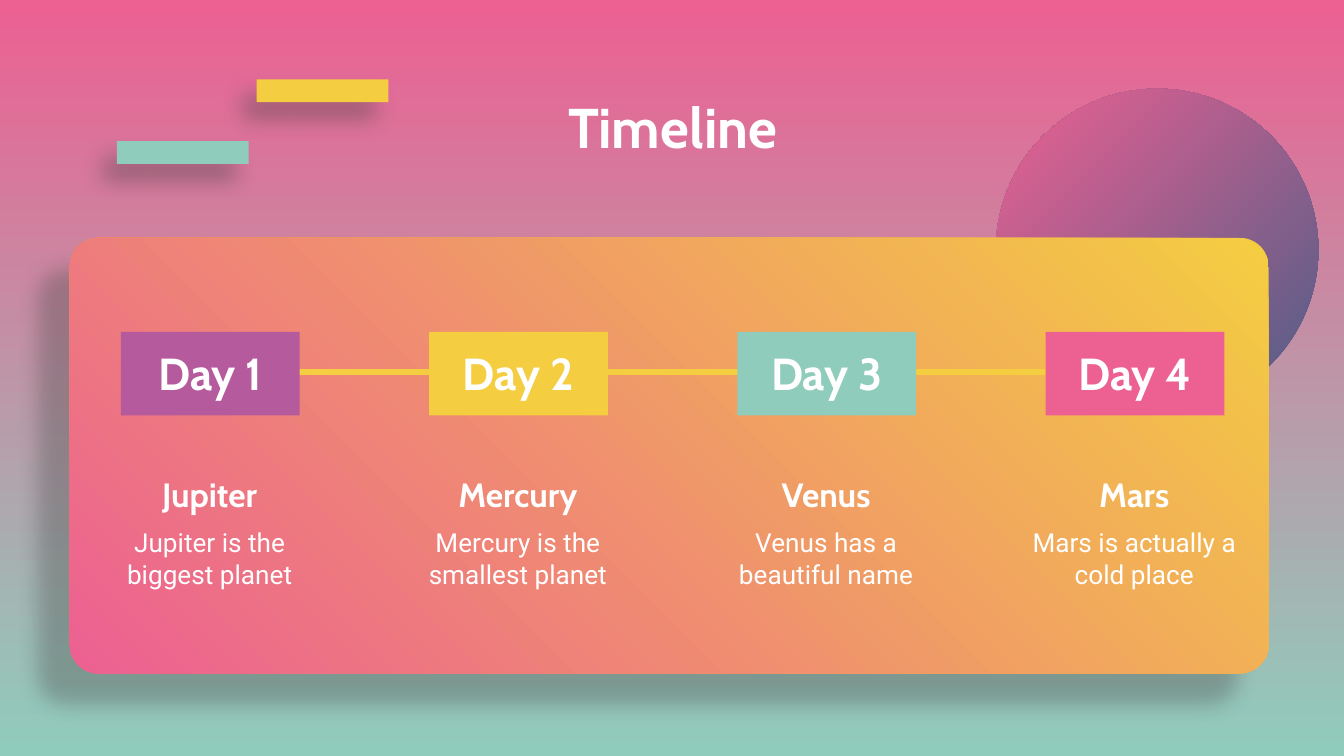
import dataclasses

import pptx
import pptx.dml.color
import pptx.enum.shapes
import pptx.enum.text
import pptx.oxml
import pptx.oxml.ns
import pptx.util

Inches = pptx.util.Inches
SHAPE = pptx.enum.shapes.MSO_SHAPE
ANCHOR = pptx.enum.text.MSO_ANCHOR
WIDE = 10
HIGH = WIDE * 9 / 16


@dataclasses.dataclass(frozen=True)
class Theme:
    """Colours, fonts and type sizes."""
    pink: str = "EC6092"
    mint: str = "8FCCBC"
    gold: str = "F4CD41"
    plum: str = "B65A9E"
    navy: str = "4D5E87"
    shade: str = "434343"
    white: str = "FFFFFF"
    head: str = "Cabin"
    body: str = "Roboto"
    title: int = 30
    day: int = 24
    name: int = 18
    note: int = 14


T = Theme()
DAYS = [
    ("Day 1", "Jupiter", "Jupiter is the biggest planet", T.plum),
    ("Day 2", "Mercury", "Mercury is the smallest planet", T.gold),
    ("Day 3", "Venus", "Venus has a beautiful name", T.mint),
    ("Day 4", "Mars", "Mars is actually a cold place", T.pink),
]


def rgb(code):
    """Turn a hex code into a colour."""
    return pptx.dml.color.RGBColor.from_string(code)


def blend(fill, start, end, angle):
    """Fill with a two-colour gradient at a counter-clockwise angle."""
    fill.gradient()
    fill.gradient_angle = angle
    for stop, code in zip(fill.gradient_stops, (start, end)):
        stop.color.rgb = rgb(code)


def block(slide, kind, box, color=None):
    """Add a borderless shape without shadow."""
    shape = slide.shapes.add_shape(kind, *map(Inches, box))
    shape.shadow.inherit = False
    shape.line.fill.background()
    if color:
        shape.fill.solid()
        shape.fill.fore_color.rgb = rgb(color)
    return shape


def shadow(shape, alpha, blur, dist, angle):
    """Cast a soft outer shadow."""
    effects = shape._element.spPr.find(pptx.oxml.ns.qn("a:effectLst"))
    effects.append(pptx.oxml.parse_xml(
        f'<a:outerShdw {pptx.oxml.ns.nsdecls("a")} blurRad="{pptx.util.Pt(blur)}" '
        f'dist="{pptx.util.Pt(dist)}" dir="{angle * 60000}" algn="bl" rotWithShape="0">'
        f'<a:srgbClr val="{T.shade}"><a:alpha val="{alpha * 1000}"/></a:srgbClr>'
        '</a:outerShdw>'))


def write(slide, text, box, size, font=T.head, bold=True, anchor=ANCHOR.TOP):
    """Add a centred white text box."""
    frame = slide.shapes.add_textbox(*map(Inches, box)).text_frame
    frame.word_wrap = True
    frame.vertical_anchor = anchor
    frame.margin_left = frame.margin_right = Inches(0.1)
    frame.margin_top = frame.margin_bottom = Inches(0.1)
    para = frame.paragraphs[0]
    para.alignment = pptx.enum.text.PP_ALIGN.CENTER
    run = para.add_run()
    run.text = text
    run.font.name, run.font.size, run.font.bold = font, pptx.util.Pt(size), bold
    run.font.color.rgb = rgb(T.white)


def decor(slide, box):
    """Draw the two bars and the planet relative to the box."""
    left, top, width, height = box
    for x, y, color in ((1.91, 0.59, T.gold), (0.87, 1.05, T.mint)):
        bar = block(slide, SHAPE.RECTANGLE, (left + x, top + y, 0.98, 0.17), color)
        shadow(bar, 43, 12.4, 11.2, 129)
    size = 2.4
    planet = block(slide, SHAPE.OVAL, (left + width - size - 0.19, top + 0.66, size, size))
    blend(planet.fill, T.navy, T.pink, 135)


def panel(slide, box):
    """Draw the rounded card."""
    card = block(slide, SHAPE.ROUNDED_RECTANGLE, box)
    card.adjustments[0] = 0.066
    blend(card.fill, T.gold, T.pink, 225)
    shadow(card, 32, 11.2, 24, 135)


def track(slide, box):
    """Draw the line that runs behind the day tags."""
    left, top, width, height = box
    y = Inches(top + 1)
    line = slide.shapes.add_connector(
        pptx.enum.shapes.MSO_CONNECTOR.STRAIGHT,
        Inches(left + 0.85), y, Inches(left + width - 0.82), y)
    line.line.color.rgb = rgb(T.gold)
    line.line.width = pptx.util.Pt(3)
    line._element.spPr.append(pptx.oxml.parse_xml(
        f'<a:effectLst {pptx.oxml.ns.nsdecls("a")}/>'))


def stage(slide, box, day, name, note, color):
    """Draw one day tag with its planet and note."""
    left, top, width, height = box
    block(slide, SHAPE.RECTANGLE, box, color)
    write(slide, day, (left - 0.02, top + 0.03, width + 0.04, 0.54), T.day,
          anchor=ANCHOR.MIDDLE)
    wide = width + 0.39
    write(slide, name, (left - 0.2, top + 0.96, wide, 0.37), T.name)
    write(slide, note, (left - 0.2, top + 1.35, wide, 0.54), T.note,
          font=T.body, bold=False)


def timeline(slide, box):
    """Place the card, the line and the evenly spaced days."""
    left, top, width, height = box
    panel(slide, box)
    track(slide, box)
    tag = 1.33
    first, last = left + 0.38, left + width - 0.33 - tag
    step = (last - first) / (len(DAYS) - 1)
    for i, day in enumerate(DAYS):
        stage(slide, (first + i * step, top + 0.7, tag, 0.62), *day)


def main():
    """Build and save the slide."""
    deck = pptx.Presentation()
    deck.slide_width, deck.slide_height = Inches(WIDE), Inches(HIGH)
    slide = deck.slides.add_slide(deck.slide_layouts[6])
    blend(slide.background.fill, T.pink, T.mint, 270)
    decor(slide, (0, 0, WIDE, HIGH))
    write(slide, "Timeline", (0.79, 0.59, 8.43, 0.52), T.title)
    timeline(slide, (0.52, 1.77, 8.92, 3.24))
    deck.save("out.pptx")


if __name__ == "__main__":
    main()
